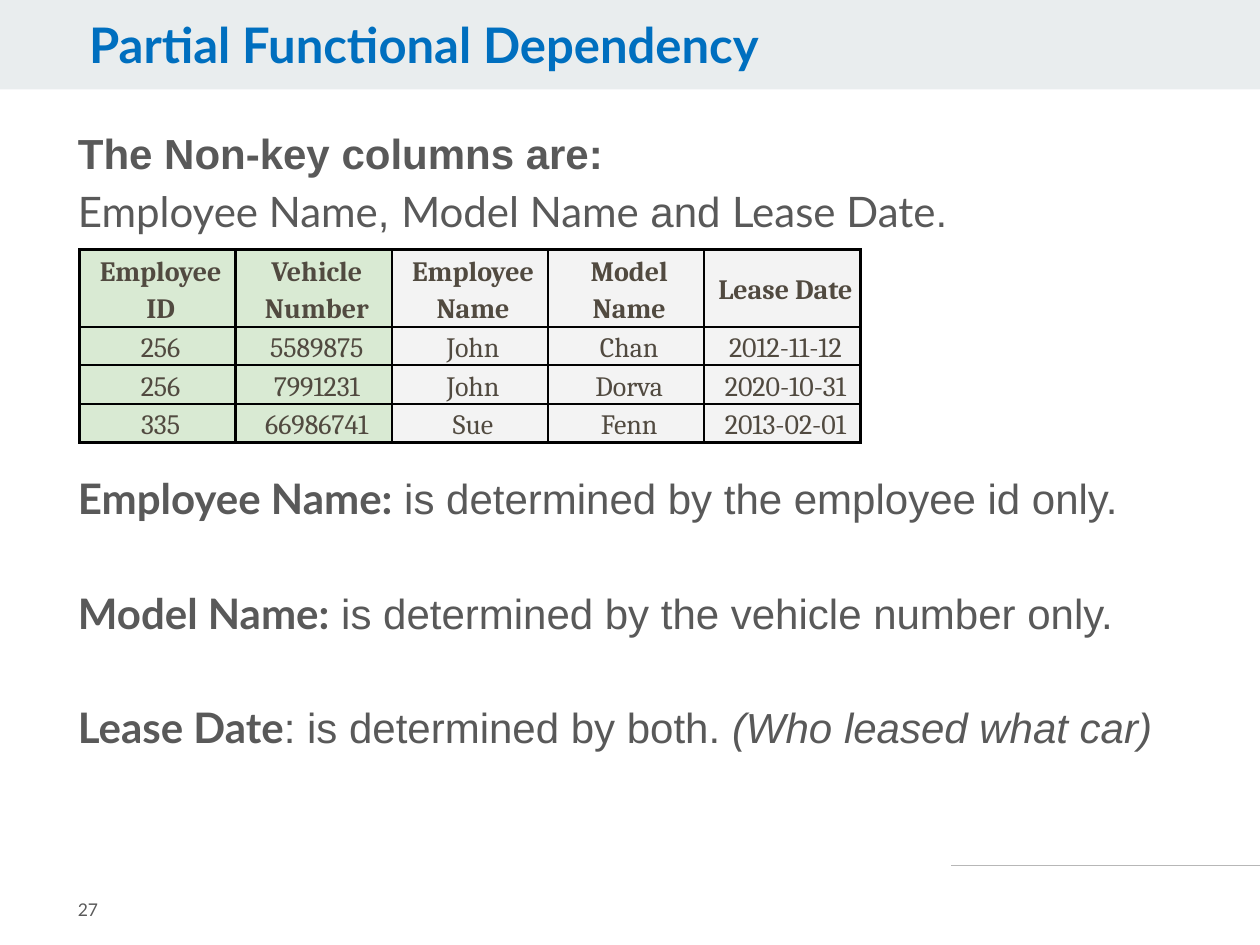
"""Build the partial functional dependency slide."""
from lxml.etree import SubElement
from pptx import Presentation
from pptx.dml.color import RGBColor
from pptx.enum.shapes import MSO_CONNECTOR, MSO_SHAPE
from pptx.enum.text import MSO_ANCHOR, PP_ALIGN
from pptx.oxml import parse_xml
from pptx.oxml.ns import nsdecls, qn
from pptx.util import Inches, Pt

COLORS = {"band": "E9EDEE", "title": "006FBF", "body": "595959", "rule": "B7B7B7",
          "cell": "514A40", "key": "D9EAD3", "other": "F3F3F3", "edge": "000000"}

TITLE = "Partial Functional Dependency"
NUMBER = "27"
LATO = {"name": "Lato"}
ARIAL = {"name": "Arial"}
BOLD = {"bold": True}
BODY = [
    (0, [("The Non-key columns are:", ARIAL | BOLD)]),
    (0, [("Employee Name", LATO), (", ", ARIAL), ("Model Name", LATO),
         (" and ", ARIAL), ("Lease Date", LATO), (".", ARIAL)]),
    (131, [("Employee Name:", LATO | BOLD),
           (" is determined by the employee id only.", ARIAL)]),
    (32.5, [("Model Name:", LATO | BOLD),
            (" is determined by the vehicle number only.", ARIAL)]),
    (32.5, [("Lease Date", LATO | BOLD), (": is determined by both. ", ARIAL),
            ("(Who leased what car)", ARIAL | {"italic": True})]),
]
ROWS = [
    ("Employee ID", "Vehicle Number", "Employee Name", "Model Name", "Lease Date"),
    ("256", "5589875", "John", "Chan", "2012-11-12"),
    ("256", "7991231", "John", "Dorva", "2020-10-31"),
    ("335", "66986741", "Sue", "Fenn", "2013-02-01"),
]
KEYS = 2
COL_W, HEAD_H, ROW_H = 1.24, 0.59, 0.28


def rgb(key):
    return RGBColor.from_string(COLORS[key])


def add_run(para, text, size, color, style):
    run = para.add_run()
    run.text = text
    for name, value in ({"size": Pt(size), "bold": False} | style).items():
        setattr(run.font, name, value)
    run.font.color.rgb = rgb(color)


def add_box(slide, box, paras, size, color, spacing, anchor=MSO_ANCHOR.TOP):
    frame = slide.shapes.add_textbox(*map(Inches, box)).text_frame
    frame.word_wrap = True
    frame.vertical_anchor = anchor
    for i, (gap, runs) in enumerate(paras):
        para = frame.add_paragraph() if i else frame.paragraphs[0]
        para.line_spacing = spacing
        para.space_before = Pt(gap)
        for text, style in runs:
            add_run(para, text, size, color, style)


def add_edges(cell):
    props = cell._tc.get_or_add_tcPr()
    for i, side in enumerate(("lnL", "lnR", "lnT", "lnB")):
        edge = parse_xml(f'<a:{side} {nsdecls("a")} w="{Pt(1.5)}"><a:solidFill>'
                         f'<a:srgbClr val="{COLORS["edge"]}"/></a:solidFill></a:{side}>')
        props.insert(i, edge)


def add_grid(slide):
    count = len(ROWS[0])
    high = HEAD_H + ROW_H * (len(ROWS) - 1)
    box = (0.63, 1.98, COL_W * count, high)
    table = slide.shapes.add_table(len(ROWS), count, *map(Inches, box)).table
    for col in table.columns:
        col.width = Inches(COL_W)
    for r, row in enumerate(ROWS):
        table.rows[r].height = Inches(ROW_H if r else HEAD_H)
        for c, text in enumerate(row):
            cell = table.cell(r, c)
            cell.fill.solid()
            cell.fill.fore_color.rgb = rgb("key" if c < KEYS else "other")
            cell.vertical_anchor = MSO_ANCHOR.MIDDLE
            cell.margin_left = Inches(0.05)
            cell.margin_right = cell.margin_top = cell.margin_bottom = 0
            para = cell.text_frame.paragraphs[0]
            para.alignment = PP_ALIGN.CENTER
            para.line_spacing = 1.15
            add_run(para, text, 16, "cell", {"name": "Cambria", "bold": r == 0})
            add_edges(cell)


def main():
    deck = Presentation()
    deck.slide_width, deck.slide_height = Inches(10), Inches(7.5)
    slide = deck.slides.add_slide(deck.slide_layouts[6])

    rule = slide.shapes.add_connector(
        MSO_CONNECTOR.STRAIGHT, *map(Inches, (7.55, 6.87, 10, 6.87)))
    rule.line.color.rgb = rgb("rule")
    rule.line.width = Pt(0.75)
    SubElement(rule._element.spPr, qn("a:effectLst"))

    band = slide.shapes.add_shape(MSO_SHAPE.RECTANGLE, *map(Inches, (0, 0, 10, 0.71)))
    band.shadow.inherit = False
    band.fill.solid()
    band.fill.fore_color.rgb = rgb("band")
    band.line.fill.background()

    add_box(slide, (0.61, 0.12, 7.88, 0.55), [(0, [(TITLE, LATO | BOLD)])],
            28, "title", 0.9)
    add_box(slide, (0.52, 0.9, 9.11, 4.99), BODY, 24, "body", 1.15)
    add_box(slide, (0.52, 6.93, 1.23, 0.57), [(0, [(NUMBER, LATO)])],
            10, "body", 1.0, MSO_ANCHOR.MIDDLE)
    add_grid(slide)
    deck.save("out.pptx")


if __name__ == "__main__":
    main()
